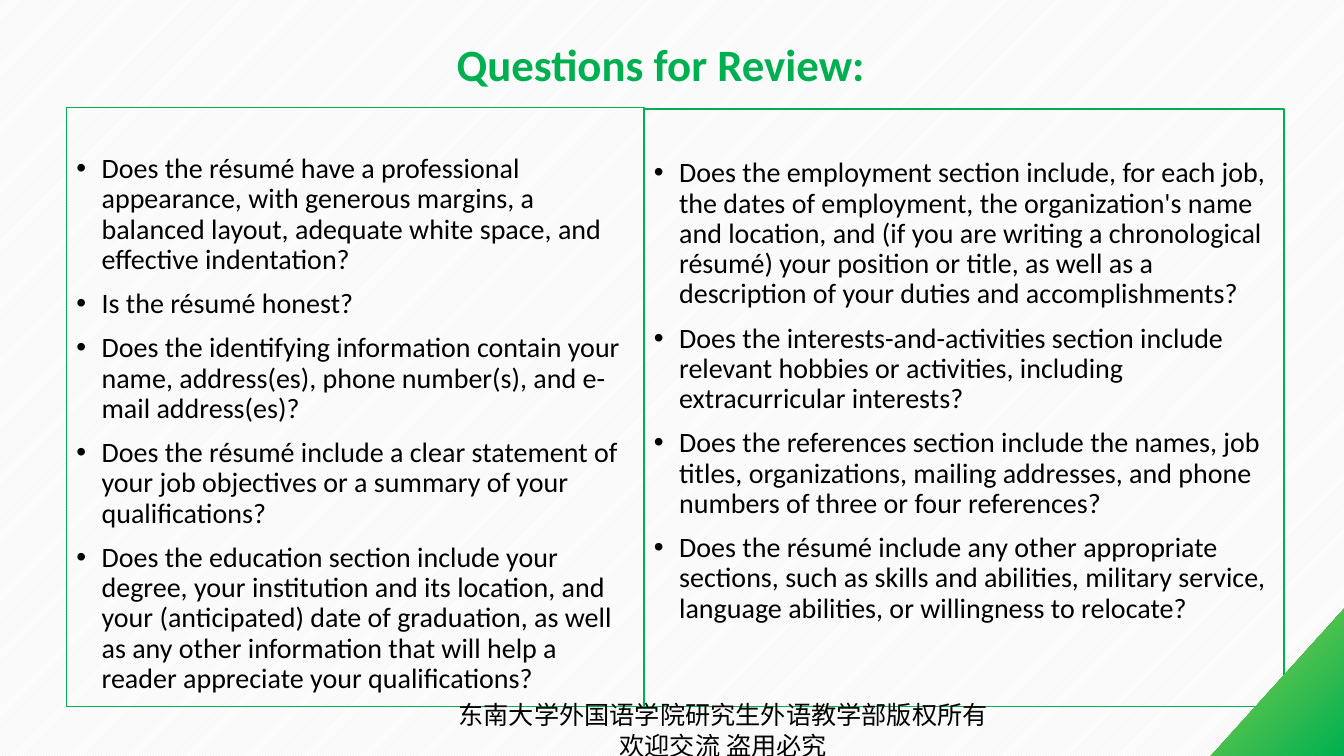
import pptx
import pptx.dml.color
import pptx.enum.dml
import pptx.enum.shapes
import pptx.enum.text
import pptx.oxml.ns
import pptx.util
from lxml import etree

Pt = pptx.util.Pt
qn = pptx.oxml.ns.qn
CENTER = pptx.enum.text.PP_ALIGN.CENTER
COLORS = {
    "green": "00B050",
    "lime": "92D050",
    "text": "000000",
    "stripe": "E7E6E6",
    "paper": "FFFFFF",
}
LATIN_FONT = "Calibri"
CHINESE_FONT = "Noto Sans CJK SC"

FORM_QUESTIONS = [
    "Does the résumé have a professional appearance, with generous margins, "
    "a balanced layout, adequate white space, and effective indentation?",
    "Is the résumé honest?",
    "Does the identifying information contain your name, address(es), "
    "phone number(s), and e-mail address(es)?",
    "Does the résumé include a clear statement of your job objectives "
    "or a summary of your qualifications?",
    "Does the education section include your degree, your institution and its "
    "location, and your (anticipated) date of graduation, as well as any other "
    "information that will help a reader appreciate your qualifications?",
]
CONTENT_QUESTIONS = [
    "Does the employment section include, for each job, the dates of employment, "
    "the organization's name and location, and (if you are writing a chronological "
    "résumé) your position or title, as well as a description of your duties and "
    "accomplishments?",
    "Does the interests-and-activities section include relevant hobbies or "
    "activities, including extracurricular interests?",
    "Does the references section include the names, job titles, organizations, "
    "mailing addresses, and phone numbers of three or four references?",
    "Does the résumé include any other appropriate sections, such as skills and "
    "abilities, military service, language abilities, or willingness to relocate?",
]


def color(name):
    return pptx.dml.color.RGBColor.from_string(COLORS[name])


def add_run(paragraph, text, size, color_name="text", font=LATIN_FONT, bold=False):
    run = paragraph.add_run()
    run.text = text
    run.font.size = Pt(size)
    run.font.name = font
    run.font.bold = bold
    run.font.color.rgb = color(color_name)
    return run


def add_bullet(paragraph):
    properties = paragraph._p.get_or_add_pPr()
    properties.set("marL", str(Pt(18)))
    properties.set("indent", str(-Pt(18)))
    etree.SubElement(properties, qn("a:buFont"), typeface="Arial")
    etree.SubElement(properties, qn("a:buChar"), char="•")


def paint_background(slide):
    fill = slide.background.fill
    fill.patterned()
    fill.pattern = pptx.enum.dml.MSO_PATTERN.LIGHT_UPWARD_DIAGONAL
    fill.fore_color.rgb = color("stripe")
    fill.back_color.rgb = color("paper")


def add_question_panel(slide, left, top, width, height, inset, questions):
    shape = slide.shapes.add_shape(
        pptx.enum.shapes.MSO_SHAPE.RECTANGLE, Pt(left), Pt(top), Pt(width), Pt(height))
    shape.shadow.inherit = False
    shape.fill.background()
    shape.line.color.rgb = color("green")
    shape.line.width = Pt(1)
    frame = shape.text_frame
    frame.word_wrap = True
    frame.vertical_anchor = pptx.enum.text.MSO_ANCHOR.TOP
    frame.margin_top = Pt(inset)
    for index, question in enumerate(questions):
        paragraph = frame.add_paragraph() if index else frame.paragraphs[0]
        paragraph.alignment = pptx.enum.text.PP_ALIGN.LEFT
        paragraph.line_spacing = 0.9
        paragraph.space_before = Pt(10 if index else 0)
        add_bullet(paragraph)
        add_run(paragraph, question, 20)


def add_centered_text(slide, left, top, width, height):
    box = slide.shapes.add_textbox(Pt(left), Pt(top), Pt(width), Pt(height))
    box.text_frame.word_wrap = True
    paragraph = box.text_frame.paragraphs[0]
    paragraph.alignment = CENTER
    return paragraph


def add_corner(slide, left, top, width, height):
    shape = slide.shapes.add_shape(
        pptx.enum.shapes.MSO_SHAPE.RIGHT_TRIANGLE,
        Pt(left), Pt(top), Pt(width), Pt(height))
    shape.shadow.inherit = False
    shape._element.spPr.find(qn("a:xfrm")).set("flipH", "1")
    shape.line.fill.background()
    shape.fill.gradient()
    shape.fill.gradient_angle = 225
    for stop, position, name in zip(shape.fill.gradient_stops, (0, 1), ("lime", "green")):
        stop.position = position
        stop.color.rgb = color(name)


def main():
    presentation = pptx.Presentation()
    presentation.slide_width = Pt(960)
    presentation.slide_height = Pt(540)
    slide = presentation.slides.add_slide(presentation.slide_layouts[6])
    paint_background(slide)

    # Question panels, side by side
    add_question_panel(slide, 47.5, 77, 412.5, 427.7, 33.4, FORM_QUESTIONS)
    add_question_panel(slide, 460, 77.8, 457.2, 427, 35.6, CONTENT_QUESTIONS)

    # Title
    title = add_centered_text(slide, 265.7, 23, 412.6, 46)
    add_run(title, "Questions for Review:", 32, "green", bold=True)

    # Corner decoration
    add_corner(slide, 865, 435, 95, 105)

    # Copyright line
    footer = add_centered_text(slide, 314.6, 495.4, 404, 54.7)
    footer.line_spacing = Pt(22)
    run = add_run(footer, "东南大学外国语学院研究生外语教学部版权所有 欢迎交流 盗用必究",
                  18, font=CHINESE_FONT)
    etree.SubElement(run.font._element, qn("a:ea"), typeface=CHINESE_FONT)

    presentation.save("out.pptx")


if __name__ == "__main__":
    main()
